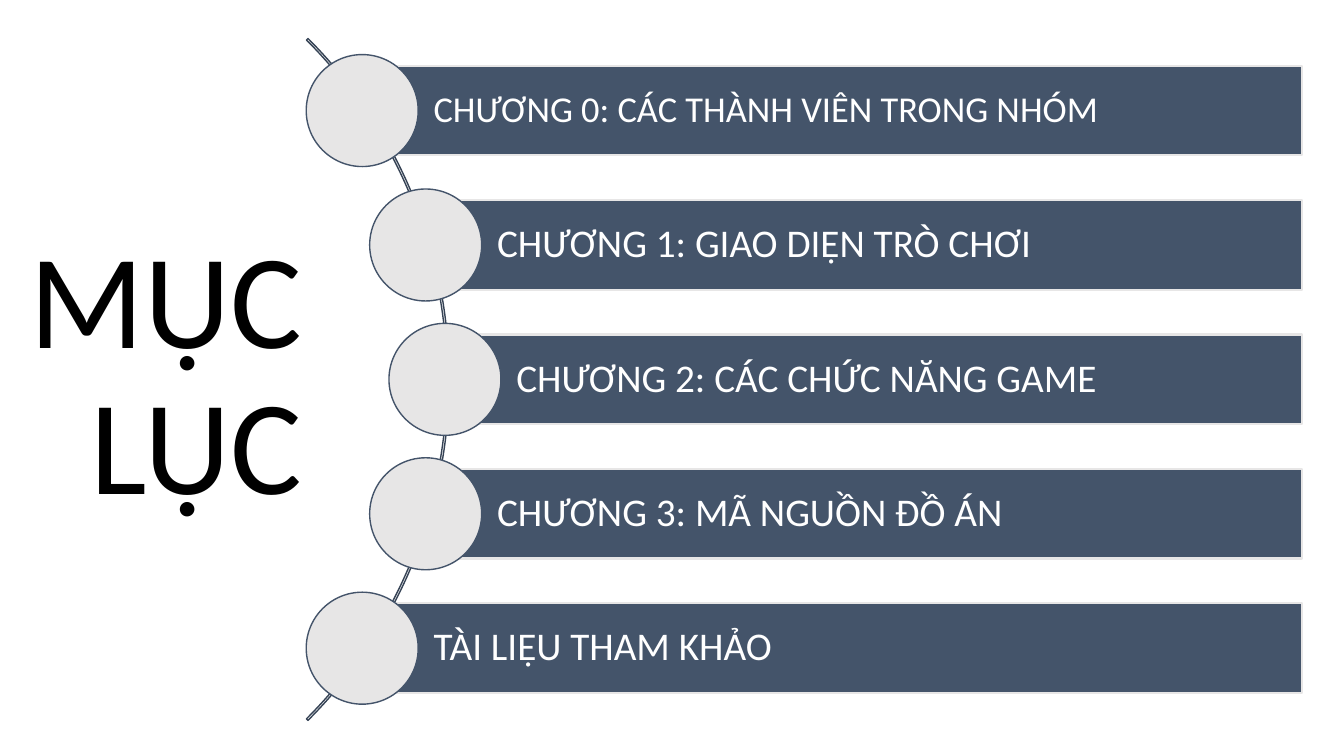
import math

from pptx import Presentation
from pptx.dml.color import RGBColor
from pptx.enum import shapes, text
from pptx.util import Pt

NAVY = RGBColor(0x44, 0x54, 0x6A)
DARK_NAVY = RGBColor(0x36, 0x43, 0x55)
LIGHT = RGBColor(0xE7, 0xE6, 0xE6)
WHITE = RGBColor(0xFF, 0xFF, 0xFF)
BLACK = RGBColor(0, 0, 0)
FONT = "Calibri"

# Chapter label and its text size
CHAPTERS = [
    ("CHƯƠNG 0: CÁC THÀNH VIÊN TRONG NHÓM", 26),
    ("CHƯƠNG 1: GIAO DIỆN TRÒ CHƠI", 28),
    ("CHƯƠNG 2: CÁC CHỨC NĂNG GAME", 28),
    ("CHƯƠNG 3: MÃ NGUỒN ĐỒ ÁN", 28),
    ("TÀI LIỆU THAM KHẢO", 28),
]


def add_shape(slide, kind, left, top, width, height, fill, line, line_width):
    sp = slide.shapes.add_shape(kind, Pt(left), Pt(top), Pt(width), Pt(height))
    sp.shadow.inherit = False
    if fill is None:
        sp.fill.background()
    else:
        sp.fill.solid()
        sp.fill.fore_color.rgb = fill
    sp.line.color.rgb = line
    sp.line.width = Pt(line_width)
    return sp


def add_run(p, words, size, color):
    r = p.add_run()
    r.text = words
    r.font.name = FONT
    r.font.size = Pt(size)
    r.font.color.rgb = color


def add_title(slide, left, top, width, height):
    sp = slide.shapes.add_textbox(Pt(left), Pt(top), Pt(width), Pt(height))
    tf = sp.text_frame
    tf.word_wrap = True
    tf.vertical_anchor = text.MSO_ANCHOR.MIDDLE
    tf.margin_right = 0
    p = tf.paragraphs[0]
    p.alignment = text.PP_ALIGN.RIGHT
    p.line_spacing = 0.9
    add_run(p, "MỤC", 96, BLACK)
    p.add_line_break()
    add_run(p, "LỤC", 96, BLACK)


def add_chapter(slide, left, top, width, height, label, size):
    """A bar with a disc centred on its left edge."""
    bar = add_shape(slide, shapes.MSO_SHAPE.RECTANGLE, left, top, width, height,
                    NAVY, LIGHT, 1.5)
    tf = bar.text_frame
    tf.word_wrap = True
    tf.vertical_anchor = text.MSO_ANCHOR.MIDDLE
    tf.margin_left = Pt(51)
    tf.margin_right = tf.margin_top = tf.margin_bottom = Pt(5.5)
    p = tf.paragraphs[0]
    p.alignment = text.PP_ALIGN.LEFT
    p.line_spacing = 0.9
    add_run(p, label, size, WHITE)

    disc = height * 1.25
    add_shape(slide, shapes.MSO_SHAPE.OVAL, left - disc / 2,
              top + (height - disc) / 2, disc, disc, LIGHT, NAVY, 1)


def add_chapter_list(slide, left, top, width, height):
    """Chapters along an arc whose ends touch the left corners of the box."""
    radius = height / math.sqrt(2)
    center_x = left - height / 2
    center_y = top + height / 2

    # Thin quarter arc
    arc = add_shape(slide, shapes.MSO_SHAPE.BLOCK_ARC, center_x - radius,
                    center_y - radius, 2 * radius, 2 * radius, None, DARK_NAVY, 1)
    for i, value in enumerate((189, 27, 0.00225)):
        arc.adjustments[i] = value

    # Bars start where their middle line meets the arc
    pitch, bar_height = 96, 64
    track = radius - 3
    for i, (label, size) in enumerate(CHAPTERS):
        dy = (i - (len(CHAPTERS) - 1) / 2) * pitch
        x = center_x + math.sqrt(track ** 2 - dy ** 2)
        add_chapter(slide, x, center_y + dy - bar_height / 2,
                    left + width - x, bar_height, label, size)


def main():
    prs = Presentation()
    prs.slide_width, prs.slide_height = Pt(960), Pt(540)
    slide = prs.slides.add_slide(prs.slide_layouts[6])
    add_chapter_list(slide, 220, 27.5, 710, 487)
    add_title(slide, 11.5, 142.5, 204.5, 255)
    prs.save("out.pptx")


if __name__ == "__main__":
    main()
